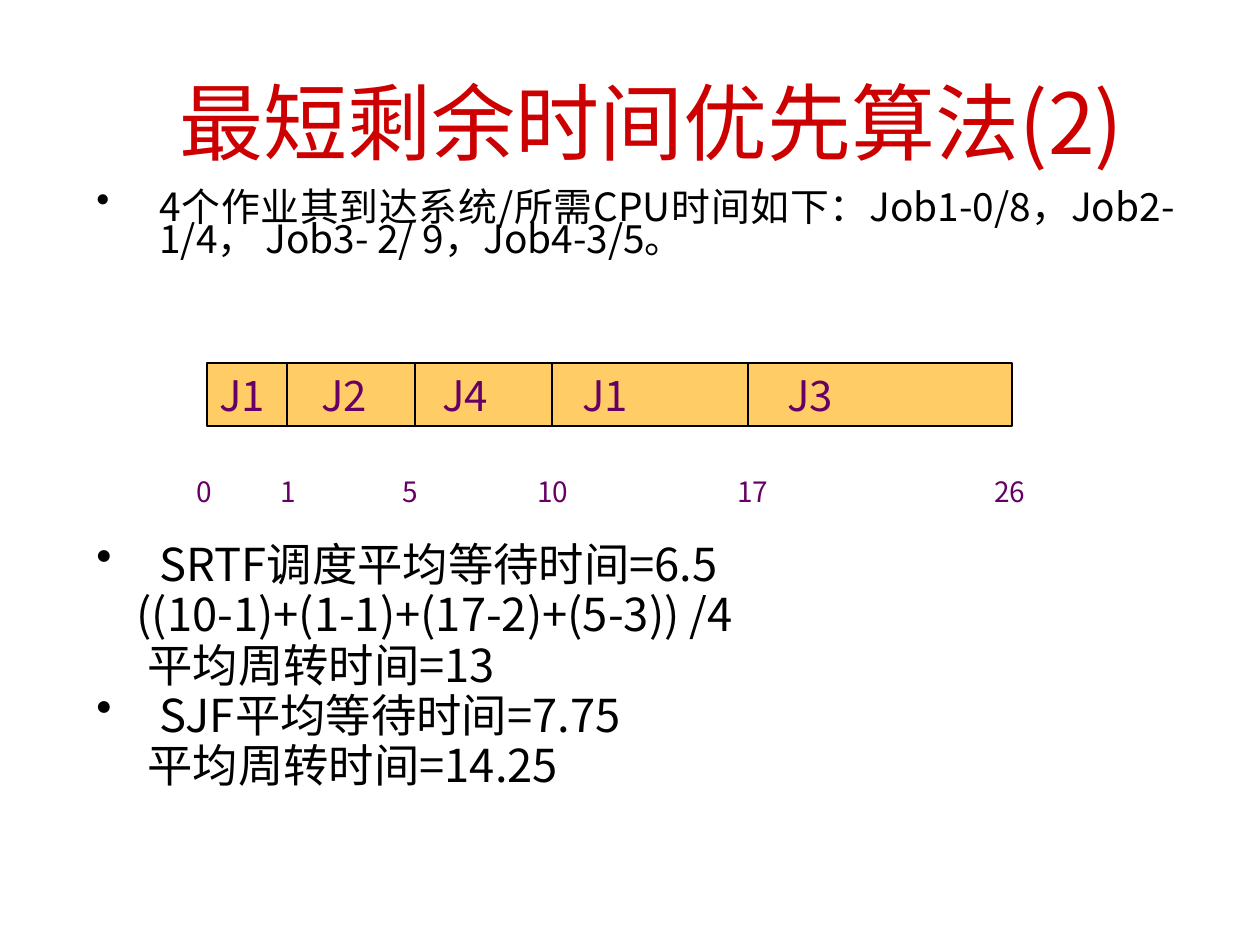
from lxml import etree
from pptx import Presentation
from pptx.dml.color import RGBColor
from pptx.enum.shapes import MSO_CONNECTOR, MSO_SHAPE
from pptx.enum.text import MSO_ANCHOR, PP_ALIGN
from pptx.oxml.ns import qn
from pptx.util import Pt

EMU_PER_PX = 914400 / 126
FONT = "Noto Sans CJK JP"
COLORS = {"title": "CC0000", "body": "000000", "label": "660066",
          "bar": "FFCC66", "line": "000000"}
TITLE_ONLY = 5
RECTANGLE = MSO_SHAPE.RECTANGLE
STRAIGHT = MSO_CONNECTOR.STRAIGHT
LEFT, CENTER, JUSTIFY = PP_ALIGN.LEFT, PP_ALIGN.CENTER, PP_ALIGN.JUSTIFY
TOP, MIDDLE = MSO_ANCHOR.TOP, MSO_ANCHOR.MIDDLE

# Gantt bar: edges of the bar, dividers and label positions
BAR_LEFT, BAR_TOP, BAR_WIDTH, BAR_HEIGHT = 207, 363, 805, 63
DIVIDERS = [287, 415, 552, 748]
JOBS = ["J1", "J2", "J4", "J1", "J3"]
JOB_TABS = [102, 223, 363, 568]
TICKS = [("0", 184), ("1", 268), ("5", 390), ("10", 525), ("17", 725), ("26", 982)]

# Text, size, space before (pt), left margin (px), bulleted
BODY = [
    ("4个作业其到达系统/所需CPU时间如下：Job1-0/8，Job2-1/4， Job3- 2/ 9，Job4-3/5。",
     22.2, 6, 63, True),
    ("SRTF调度平均等待时间=6.5", 25.9, 166, 63, True),
    ("((10-1)+(1-1)+(17-2)+(5-3)) /4", 25.9, 7, 40, False),
    ("平均周转时间=13", 25.9, 7, 51, False),
    ("SJF平均等待时间=7.75", 25.9, 7, 63, True),
    ("平均周转时间=14.25", 25.9, 7, 51, False),
]


def px(value):
    return round(value * EMU_PER_PX)


def rgb(name):
    return RGBColor.from_string(COLORS[name])


def style(para, text, size, color, align=LEFT):
    para.text = text
    para.alignment = align
    para.font.size = Pt(size)
    para.font.name = FONT
    para.font.color.rgb = rgb(color)
    defaults = para._p.pPr.find(qn("a:defRPr"))
    latin = defaults.find(qn("a:latin"))
    east_asian = etree.Element(qn("a:ea"), typeface=FONT)
    latin.addnext(east_asian)
    return defaults


def set_frame(box, anchor, wrap=True):
    frame = box.text_frame
    frame.word_wrap = wrap
    frame.vertical_anchor = anchor
    return frame


def add_title(page, text):
    title = page.shapes.title
    title.left, title.top, title.width, title.height = map(px, (116, 42, 1071, 158))
    style(set_frame(title, MIDDLE).paragraphs[0], text, 48, "title", CENTER)


def add_body(page):
    box = page.shapes.add_textbox(*map(px, (84, 189, 1103, 756)))
    frame = set_frame(box, TOP)
    for index, (text, size, before, margin, bulleted) in enumerate(BODY):
        para = frame.add_paragraph() if index else frame.paragraphs[0]
        defaults = style(para, text, size, "body", JUSTIFY)
        para.line_spacing = 0.7
        para.space_before = Pt(before)
        para._p.pPr.set("marL", str(px(margin)))
        if bulleted:
            para._p.pPr.set("indent", str(-px(margin)))
            defaults.addprevious(etree.Element(qn("a:buChar"), char="•"))


def add_bar(group):
    bar = group.shapes.add_shape(
        RECTANGLE, *map(px, (BAR_LEFT, BAR_TOP, BAR_WIDTH, BAR_HEIGHT)))
    bar.shadow.inherit = False
    bar.fill.solid()
    bar.fill.fore_color.rgb = rgb("bar")
    bar.line.color.rgb = rgb("line")
    bar.line.width = Pt(0.75)
    para = set_frame(bar, MIDDLE).paragraphs[0]
    defaults = style(para, "\t".join(JOBS), 24, "label")
    tabs = etree.Element(qn("a:tabLst"))
    for position in JOB_TABS:
        etree.SubElement(tabs, qn("a:tab"), pos=str(px(position)), algn="l")
    defaults.addprevious(tabs)


def add_divider(group, x):
    divider = group.shapes.add_connector(
        STRAIGHT, *map(px, (x, BAR_TOP, x, BAR_TOP + BAR_HEIGHT)))
    divider.line.color.rgb = rgb("line")
    divider.line.width = Pt(0.75)
    etree.SubElement(divider._element.spPr, qn("a:effectLst"))


def add_tick(group, time, left):
    width = 45 if len(time) == 1 else 58
    box = group.shapes.add_textbox(*map(px, (left, 468, width, 46)))
    style(set_frame(box, MIDDLE, wrap=False).paragraphs[0], time, 16, "label")


def main():
    deck = Presentation()
    deck.slide_width, deck.slide_height = px(1260), px(945)
    page = deck.slides.add_slide(deck.slide_layouts[TITLE_ONLY])
    add_title(page, "最短剩余时间优先算法(2)")
    add_body(page)

    # Schedule chart with its time scale
    schedule = page.shapes.add_group_shape()
    add_bar(schedule)
    for x in DIVIDERS:
        add_divider(schedule, x)
    for time, left in TICKS:
        add_tick(schedule, time, left)
    deck.save("out.pptx")


if __name__ == "__main__":
    main()
